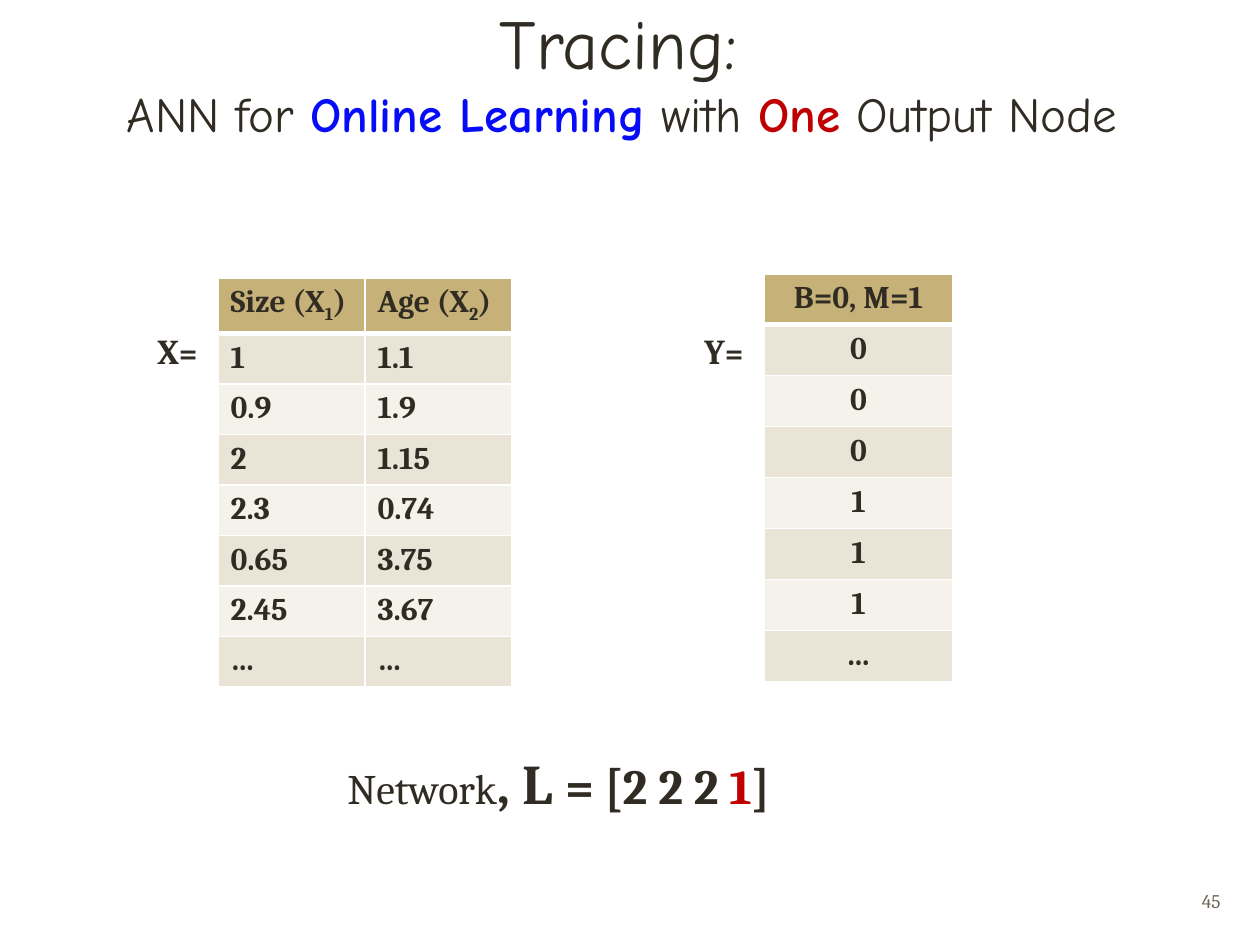
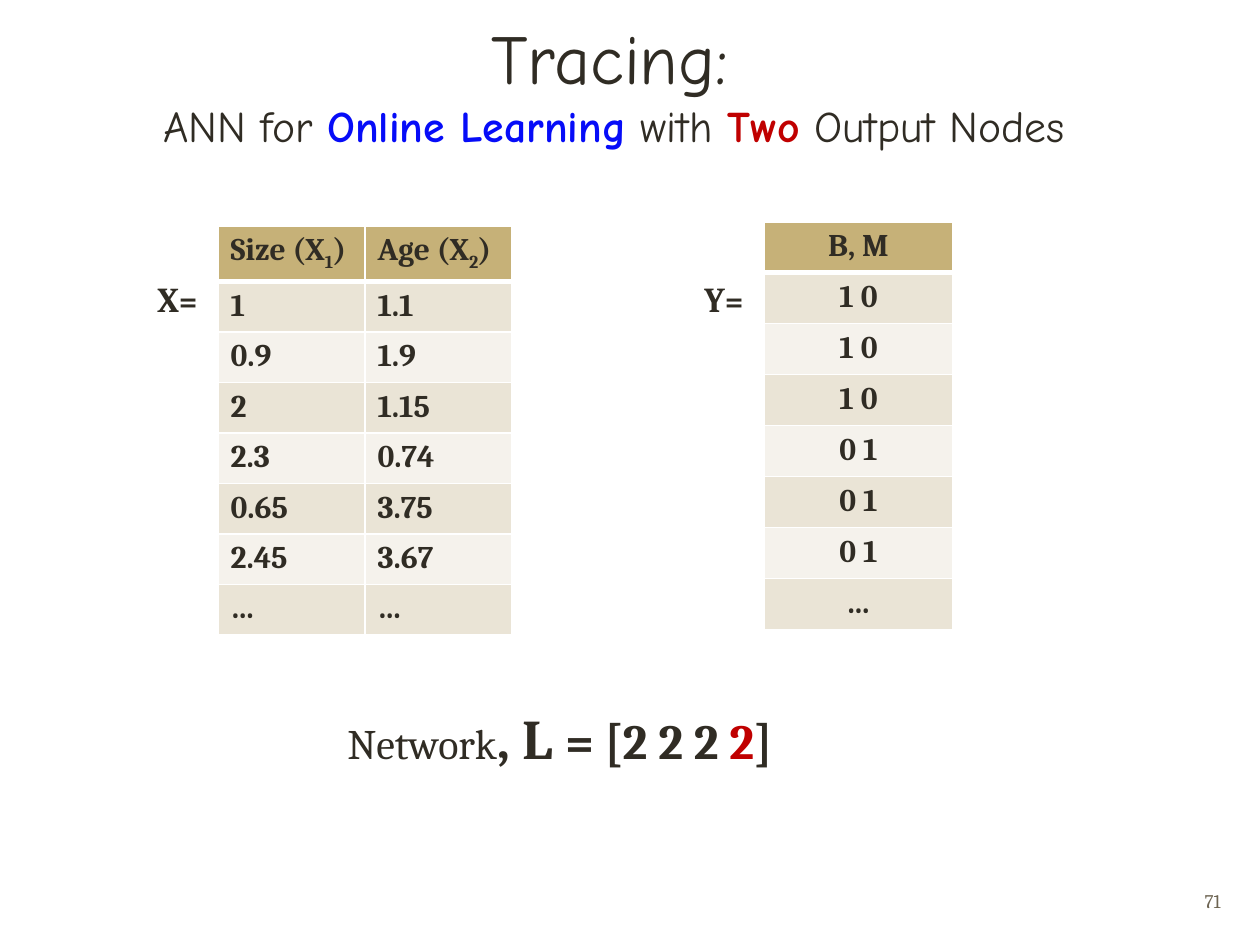
from lxml import etree
from pptx import Presentation
from pptx.dml.color import RGBColor
from pptx.enum import text
from pptx.oxml.ns import qn
from pptx.util import Emu, Inches, Pt

# Content
SIZE_AGE = [("1", "1.1"), ("0.9", "1.9"), ("2", "1.15"), ("2.3", "0.74"),
            ("0.65", "3.75"), ("2.45", "3.67"), ("…", "…")]
SLIDES = [
    {"page": "45", "count": "One", "nodes": " Output Node ", "outputs": "1",
     "y_head": "B=0, M=1", "y": ["0", "0", "0", "1", "1", "1", "…"],
     "title_box": (24, 31, 1212, 118), "subtitle_size": 28,
     "data_top": 278, "network_top": 742},
    {"page": "71", "count": "Two", "nodes": " Output Nodes ", "outputs": "2",
     "y_head": "B, M", "y": ["1 0", "1 0", "1 0", "0 1", "0 1", "0 1", "…"],
     "title_box": (10, 13, 1223, 144), "subtitle_size": 25,
     "data_top": 226, "network_top": 697},
]

# Shared look
COLORS = {"ink": "302C24", "blue": "060CF8", "red": "C00000", "page": "6D6452",
          "head": "C6B178", "odd": "EAE4D6", "even": "F5F2EC", "rule": "FFFFFF"}
BODY, TITLE = "Cambria", "Comic Neue"
LEFT, CENTER, RIGHT = (text.PP_ALIGN.LEFT, text.PP_ALIGN.CENTER, text.PP_ALIGN.RIGHT)
TOP, MIDDLE, BOTTOM = (text.MSO_ANCHOR.TOP, text.MSO_ANCHOR.MIDDLE, text.MSO_ANCHOR.BOTTOM)

# Layout in px, 126 to the inch
X_LEFT, Y_LEFT = 218, 764
X_COLS, Y_COLS = [147, 147], [189]
X_ROWS, Y_ROWS = [53] + [49] * 7, [49] + [51] * 7
LABEL_GAP, LABEL_DROP = 106, 45


def px(n):
    return Emu(round(n * Inches(1) / 126))


def add_run(p, words, size=18, font=BODY, color="ink", bold=False, base=0):
    r = p.add_run()
    r.text = words
    r.font.size, r.font.name, r.font.bold = Pt(size), font, bold
    r.font.color.rgb = RGBColor.from_string(COLORS[color])
    if base:
        r._r.get_or_add_rPr().set("baseline", str(base * 1000))


def add_text(slide, box, lines, align=LEFT, anchor=TOP):
    """Each line is a list of (words, format) runs; lines share a paragraph."""
    tf = slide.shapes.add_textbox(*map(px, box)).text_frame
    tf.word_wrap, tf.vertical_anchor = True, anchor
    p = tf.paragraphs[0]
    p.alignment = align
    for i, runs in enumerate(lines):
        if i:
            p.add_line_break()
        for words, style in runs:
            add_run(p, words, **style)


def set_borders(cell, row):
    tc_pr = cell._tc.get_or_add_tcPr()
    widths = {"L": 1, "R": 1, "T": 3 if row == 1 else 1, "B": 3 if row == 0 else 1}
    for side, width in widths.items():
        ln = etree.SubElement(tc_pr, qn(f"a:ln{side}"), w=str(Pt(width)))
        fill = etree.SubElement(ln, qn("a:solidFill"))
        etree.SubElement(fill, qn("a:srgbClr"), val=COLORS["rule"])


def add_data(slide, left, top, cols, heights, rows, align):
    """Each cell is a list of (words, format) runs."""
    frame = slide.shapes.add_table(len(rows), len(cols), px(left), px(top),
                                   px(sum(cols)), px(sum(heights)))
    table = frame.table
    for column, width in zip(table.columns, cols):
        column.width = px(width)
    for i, row in enumerate(rows):
        table.rows[i].height = px(heights[i])
        for j, runs in enumerate(row):
            cell = table.cell(i, j)
            set_borders(cell, i)
            cell.fill.solid()
            band = "head" if i == 0 else ("odd" if i % 2 else "even")
            cell.fill.fore_color.rgb = RGBColor.from_string(COLORS[band])
            p = cell.text_frame.paragraphs[0]
            p.alignment = align
            for words, style in runs:
                add_run(p, words, bold=True, **style)


def plain(words):
    return [(words, {})]


def x_heading(name, index):
    return [(f"{name} (X", {}), (index, {"base": -25}), (")", {})]


def build_slide(prs, c):
    slide = prs.slides.add_slide(prs.slide_layouts[6])

    # Title and subtitle
    sub = {"size": c["subtitle_size"], "font": TITLE}
    add_text(slide, c["title_box"], [
        [("Tracing: ", {"size": 40, "font": TITLE})],
        [("ANN for ", sub),
         ("Online Learning", {**sub, "color": "blue", "bold": True}),
         (" with ", sub),
         (c["count"], {**sub, "color": "red", "bold": True}),
         (c["nodes"], sub)],
    ], CENTER, BOTTOM)

    # Page number
    add_text(slide, (940, 876, 293, 50),
             [[(c["page"], {"size": 11, "color": "page"})]], RIGHT, MIDDLE)

    # Input and target tables with their labels
    top = c["data_top"]
    x_rows = [[x_heading("Size", "1"), x_heading("Age", "2")]]
    x_rows += [[plain(v) for v in row] for row in SIZE_AGE]
    y_rows = [[plain(v)] for v in [c["y_head"]] + c["y"]]
    add_data(slide, X_LEFT, top, X_COLS, X_ROWS, x_rows, LEFT)
    add_data(slide, Y_LEFT, top - 4, Y_COLS, Y_ROWS, y_rows, CENTER)
    for name, left in (("X", X_LEFT), ("Y", Y_LEFT)):
        add_text(slide, (left - LABEL_GAP, top + LABEL_DROP, 98, 55),
                 [[(name, {"size": 20, "bold": True}), ("=", {"bold": True})]], RIGHT)

    # Network layers
    layer = {"size": 28, "bold": True}
    add_text(slide, (335, c["network_top"], 646, 81), [[
        ("Network", {"size": 24}), (", L ", {"size": 32, "bold": True}),
        ("= [2 2 2 ", layer), (c["outputs"], {**layer, "color": "red"}),
        ("]", layer)]])


def main():
    prs = Presentation()
    prs.slide_width, prs.slide_height = px(1260), px(945)
    for content in SLIDES:
        build_slide(prs, content)
    prs.save("out.pptx")


if __name__ == "__main__":
    main()
